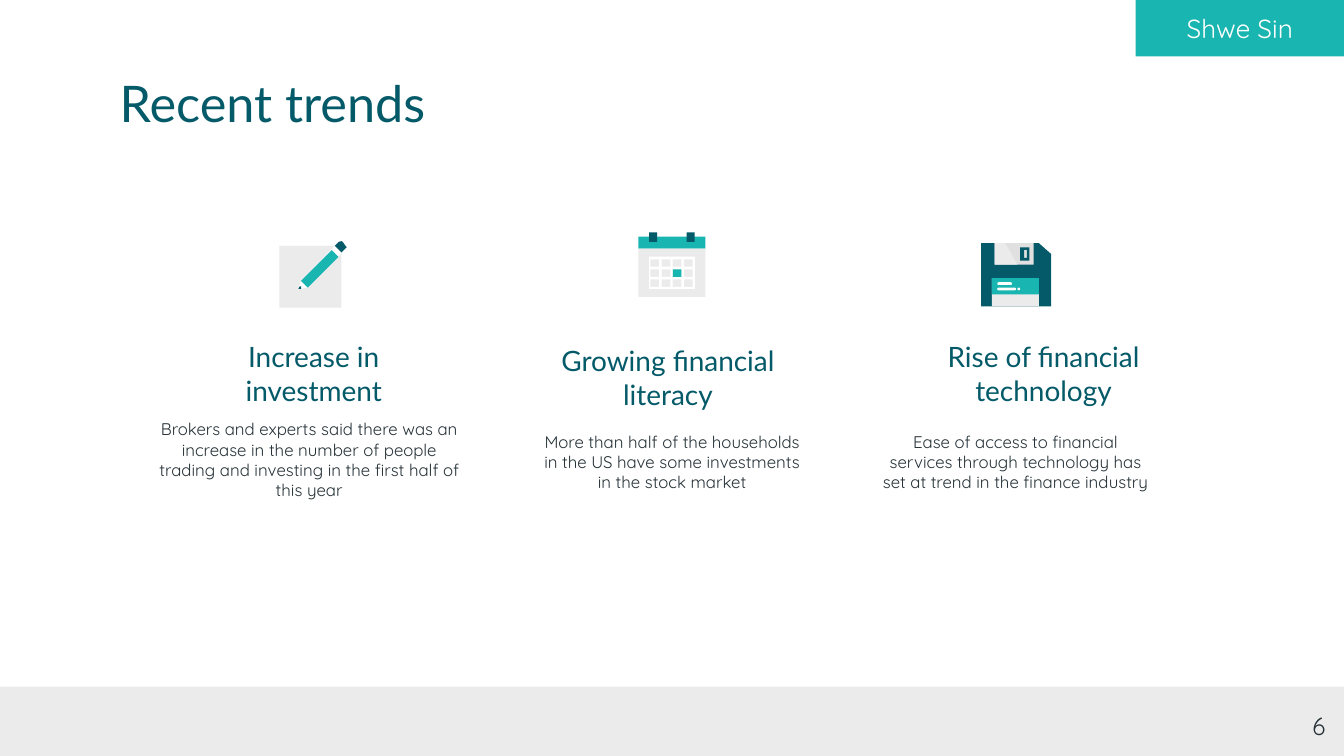
from pptx import Presentation
from pptx.dml.color import RGBColor
from pptx.enum.shapes import MSO_SHAPE
from pptx.enum.text import MSO_ANCHOR, MSO_AUTO_SIZE, PP_ALIGN
from pptx.util import Inches, Pt

WIDTH, HEIGHT = 10, 5.625
NAVY, TEAL, LIGHT, SILVER = "045A68", "19B5B1", "EBEBEB", "E0E0E0"
WHITE, INK = "FFFFFF", "263238"
HEADING_FONT, BODY_FONT = "Lato", "Quicksand"

TITLE = "Recent trends"
AUTHOR = "Shwe Sin"
PAGE_NUMBER = "6"

# heading, its place, description, its place; places are (left, top, width, height)
TRENDS = [
    ("Increase in investment", (1.25, 2.63, 2.17, 0.3),
     "Brokers and experts said there was an increase in the number of people "
     "trading and investing in the first half of this year",
     (1.07, 3.33, 2.46, 0.49)),
    ("Growing financial literacy", (3.78, 2.66, 2.38, 0.3),
     "More than half of the households in the US have some investments "
     "in the stock market",
     (3.92, 3.27, 2.16, 0.49)),
    ("Rise of financial technology", (6.47, 2.63, 2.59, 0.3),
     "Ease of access to financial services through technology has set at trend "
     "in the finance industry",
     (6.47, 3.27, 2.17, 0.49)),
]


def color(value):
    return RGBColor.from_string(value)


def paint(shape, fill):
    shape.shadow.inherit = False
    shape.fill.solid()
    shape.fill.fore_color.rgb = color(fill)
    shape.line.fill.background()
    return shape


def place(shape, area):
    shape.left, shape.top, shape.width, shape.height = map(Inches, area)


def block(shapes, area, fill, kind=MSO_SHAPE.RECTANGLE):
    return paint(shapes.add_shape(kind, *map(Inches, area)), fill)


def corners(left, top, width, height):
    right, bottom = left + width, top + height
    return [(left, top), (left, bottom), (right, bottom), (right, top)]


def outline(shapes, fill, *contours):
    """Fill closed contours given in inches; contours inside the first are holes."""
    contours = [[(x * 1000, y * 1000) for x, y in points] for points in contours]
    builder = shapes.build_freeform(*contours[0][0], scale=Inches(1) / 1000)
    builder.add_line_segments(contours[0][1:], close=True)
    for points in contours[1:]:
        builder.move_to(*points[0])
        builder.add_line_segments(points[1:], close=True)
    return paint(builder.convert_to_shape(), fill)


def write(shape, text, size, font, fill, align, anchor=MSO_ANCHOR.MIDDLE):
    frame = shape.text_frame
    frame.word_wrap = True
    frame.auto_size = MSO_AUTO_SIZE.NONE
    frame.vertical_anchor = anchor
    frame.margin_left = frame.margin_right = Inches(0.1)
    frame.margin_top = frame.margin_bottom = Inches(0.1)
    para = frame.paragraphs[0]
    para.alignment = align
    span = para.add_run()
    span.text = text
    span.font.size = Pt(size)
    span.font.name = font
    span.font.color.rgb = color(fill)


def add_text(page, area, *style):
    write(page.shapes.add_textbox(*map(Inches, area)), *style)


def draw_note_and_pencil(shapes):
    outline(shapes, LIGHT, [(2.08, 1.83), (2.08, 2.29), (2.54, 2.29), (2.54, 1.88),
                            (2.29, 2.14), (2.22, 2.15), (2.24, 2.09), (2.49, 1.83)])
    outline(shapes, WHITE, [(2.24, 2.09), (2.22, 2.15), (2.29, 2.14)])
    outline(shapes, NAVY, [(2.23, 2.13), (2.22, 2.15), (2.24, 2.15), (2.24, 2.13)])
    outline(shapes, TEAL, [(2.47, 1.86), (2.24, 2.09), (2.29, 2.14), (2.52, 1.91)])
    outline(shapes, NAVY, [(2.52, 1.8), (2.49, 1.83), (2.54, 1.88), (2.57, 1.85),
                           (2.58, 1.84), (2.57, 1.83), (2.55, 1.8), (2.54, 1.795)])
    outline(shapes, WHITE, [(2.49, 1.83), (2.47, 1.86), (2.52, 1.91), (2.54, 1.88)])


def draw_calendar(shapes):
    left, width = 4.75, 0.5
    block(shapes, (left, 1.76, width, 0.09), TEAL)
    block(shapes, (left, 1.85, width, 0.36), LIGHT)
    days = [[(4.84 + 0.083 * column, 1.93 + 0.075 * row, 0.065, 0.055)
             for column in range(4)] for row in range(3)]
    holes = [corners(*day) for week in days for day in week]
    outline(shapes, WHITE, corners(4.83, 1.91, 0.34, 0.24), *holes)
    for ring_left in (4.83, 5.11):
        block(shapes, (ring_left, 1.73, 0.06, 0.07), NAVY)
    block(shapes, days[1][2], TEAL)


def draw_disk(shapes):
    outline(shapes, NAVY, [(7.3, 1.81), (7.3, 2.28), (7.82, 2.28),
                           (7.82, 1.89), (7.73, 1.81)])
    block(shapes, (7.38, 2.07, 0.35, 0.21), LIGHT)
    block(shapes, (7.38, 2.07, 0.35, 0.12), TEAL)
    block(shapes, (7.4, 1.81, 0.29, 0.16), SILVER)
    for top, width in ((2.1, 0.11), (2.14, 0.14)):
        bar = block(shapes, (7.42, top, width, 0.02), WHITE, MSO_SHAPE.ROUNDED_RECTANGLE)
        bar.adjustments[0] = 0.5
    block(shapes, (7.57, 2.14, 0.02, 0.02), WHITE, MSO_SHAPE.OVAL)
    outline(shapes, NAVY, corners(7.59, 1.84, 0.07, 0.1), corners(7.62, 1.86, 0.02, 0.06))
    outline(shapes, LIGHT, [(7.4, 1.81), (7.4, 1.97), (7.57, 1.97), (7.48, 1.81)])


def main():
    deck = Presentation()
    deck.slide_width, deck.slide_height = Inches(WIDTH), Inches(HEIGHT)
    page = deck.slides.add_slide(deck.slide_layouts[5])

    block(page.shapes, (0, 5.11, WIDTH, HEIGHT - 5.11), LIGHT)

    title = page.shapes.title
    place(title, (0.79, 0.59, 8.43, 0.35))
    write(title, TITLE, 27, HEADING_FONT, NAVY, PP_ALIGN.LEFT)

    for heading, heading_area, description, description_area in TRENDS:
        add_text(page, heading_area, heading, 15, HEADING_FONT, NAVY, PP_ALIGN.CENTER)
        add_text(page, description_area, description, 9, BODY_FONT, INK,
                 PP_ALIGN.CENTER, MSO_ANCHOR.BOTTOM)

    for draw_icon in (draw_note_and_pencil, draw_calendar, draw_disk):
        draw_icon(page.shapes.add_group_shape().shapes)

    add_text(page, (9.36, 5.19, 0.6, 0.43), PAGE_NUMBER, 13, BODY_FONT, INK,
             PP_ALIGN.RIGHT, MSO_ANCHOR.TOP)
    badge = block(page.shapes, (8.45, -0.01, 1.55, 0.43), TEAL)
    write(badge, AUTHOR, 14, BODY_FONT, WHITE, PP_ALIGN.CENTER, MSO_ANCHOR.TOP)

    deck.save("out.pptx")


if __name__ == "__main__":
    main()
